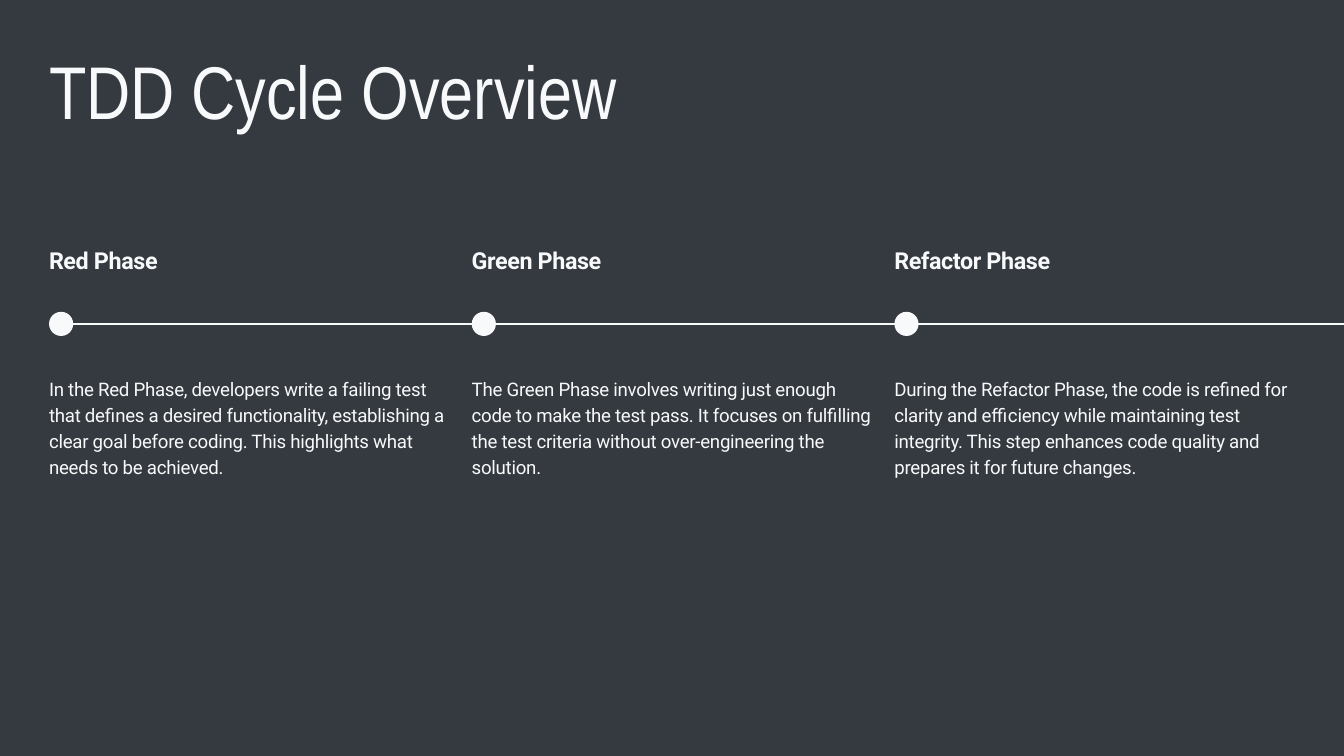
"""Build the TDD cycle overview slide: three phases along a timeline."""
from dataclasses import dataclass

from lxml.etree import SubElement
from pptx import Presentation
from pptx.dml.color import RGBColor
from pptx.enum.shapes import MSO_CONNECTOR as Connector, MSO_SHAPE as Shape
from pptx.enum.text import MSO_ANCHOR as Anchor, MSO_AUTO_SIZE as AutoSize, PP_ALIGN as Align
from pptx.oxml.ns import qn
from pptx.slide import Slide
from pptx.util import Emu, Pt

SCALE = 9144
PAGE_WIDTH, PAGE_HEIGHT = 2000, 1125
MARGIN = 73
COLUMN_WIDTH, COLUMN_STEP = 596, 629
HEADING_TOP, DOT_TOP, BODY_TOP = 367, 464, 556
DOT_SIZE = 36
LINE_END = 2034


@dataclass(frozen=True)
class Theme:
    background: RGBColor = RGBColor.from_string("343A40")
    ink: RGBColor = RGBColor.from_string("F8F9FA")
    title_font: str = "Arial Narrow"
    text_font: str = "Roboto"
    title_size: int = 80
    heading_size: int = 25
    body_size: int = 20
    line_width: float = 1.5


@dataclass(frozen=True)
class Phase:
    name: str
    summary: str


THEME = Theme()
PHASES = (
    Phase("Red Phase",
          "In the Red Phase, developers write a failing test that defines a desired functionality, "
          "establishing a clear goal before coding. This highlights what needs to be achieved."),
    Phase("Green Phase",
          "The Green Phase involves writing just enough code to make the test pass. "
          "It focuses on fulfilling the test criteria without over-engineering the solution."),
    Phase("Refactor Phase",
          "During the Refactor Phase, the code is refined for clarity and efficiency while "
          "maintaining test integrity. This step enhances code quality and prepares it for future changes."),
)


def px(length: int) -> Emu:
    return Emu(length * SCALE)


def write_text(box, text: str, *, size: int, leading: int, font: str = THEME.text_font,
               bold: bool = False, tracking: float = 0) -> None:
    frame = box.text_frame
    frame.word_wrap = True
    frame.auto_size = AutoSize.SHAPE_TO_FIT_TEXT
    frame.vertical_anchor = Anchor.TOP
    frame.margin_left = frame.margin_top = frame.margin_right = frame.margin_bottom = 0
    para = frame.paragraphs[0]
    para.alignment = Align.LEFT
    para.line_spacing = Pt(leading)
    para.space_before = Pt(0)
    span = para.add_run()
    span.text = text
    span.font.name = font
    span.font.size = Pt(size)
    span.font.bold = bold
    span.font.color.rgb = THEME.ink
    if tracking:
        span.font._element.set("spc", str(round(tracking * 100)))


def draw_title(page: Slide, text: str) -> None:
    title = page.shapes.title
    title.left, title.top = px(MARGIN), px(89)
    title.width, title.height = px(PAGE_WIDTH - 2 * MARGIN), px(117)
    write_text(title, text, size=THEME.title_size, leading=80, font=THEME.title_font)


def draw_timeline(page: Slide) -> None:
    middle = px(DOT_TOP + DOT_SIZE // 2)
    line = page.shapes.add_connector(
        Connector.STRAIGHT, px(MARGIN + DOT_SIZE), middle, px(LINE_END), middle)
    line.line.color.rgb = THEME.ink
    line.line.width = Pt(THEME.line_width)
    SubElement(line._element.spPr, qn("a:effectLst"))


def draw_phase(page: Slide, phase: Phase, left: int) -> None:
    heading = page.shapes.add_textbox(px(left), px(HEADING_TOP), px(COLUMN_WIDTH), px(44))
    write_text(heading, phase.name, size=THEME.heading_size, leading=30, bold=True, tracking=-0.4)
    body = page.shapes.add_textbox(px(left), px(BODY_TOP), px(COLUMN_WIDTH), px(155))
    write_text(body, phase.summary, size=THEME.body_size, leading=28, tracking=-0.3)
    dot = page.shapes.add_shape(Shape.OVAL, px(left), px(DOT_TOP), px(DOT_SIZE), px(DOT_SIZE))
    dot.shadow.inherit = False
    dot.fill.solid()
    dot.fill.fore_color.rgb = THEME.ink
    dot.line.fill.background()


def main() -> None:
    deck = Presentation()
    deck.slide_width, deck.slide_height = px(PAGE_WIDTH), px(PAGE_HEIGHT)
    page = deck.slides.add_slide(deck.slide_layouts.get_by_name("Title Only"))
    page.background.fill.solid()
    page.background.fill.fore_color.rgb = THEME.background
    draw_title(page, "TDD Cycle Overview")
    draw_timeline(page)
    for column, phase in enumerate(PHASES):
        draw_phase(page, phase, MARGIN + column * COLUMN_STEP)
    deck.save("out.pptx")


if __name__ == "__main__":
    main()
